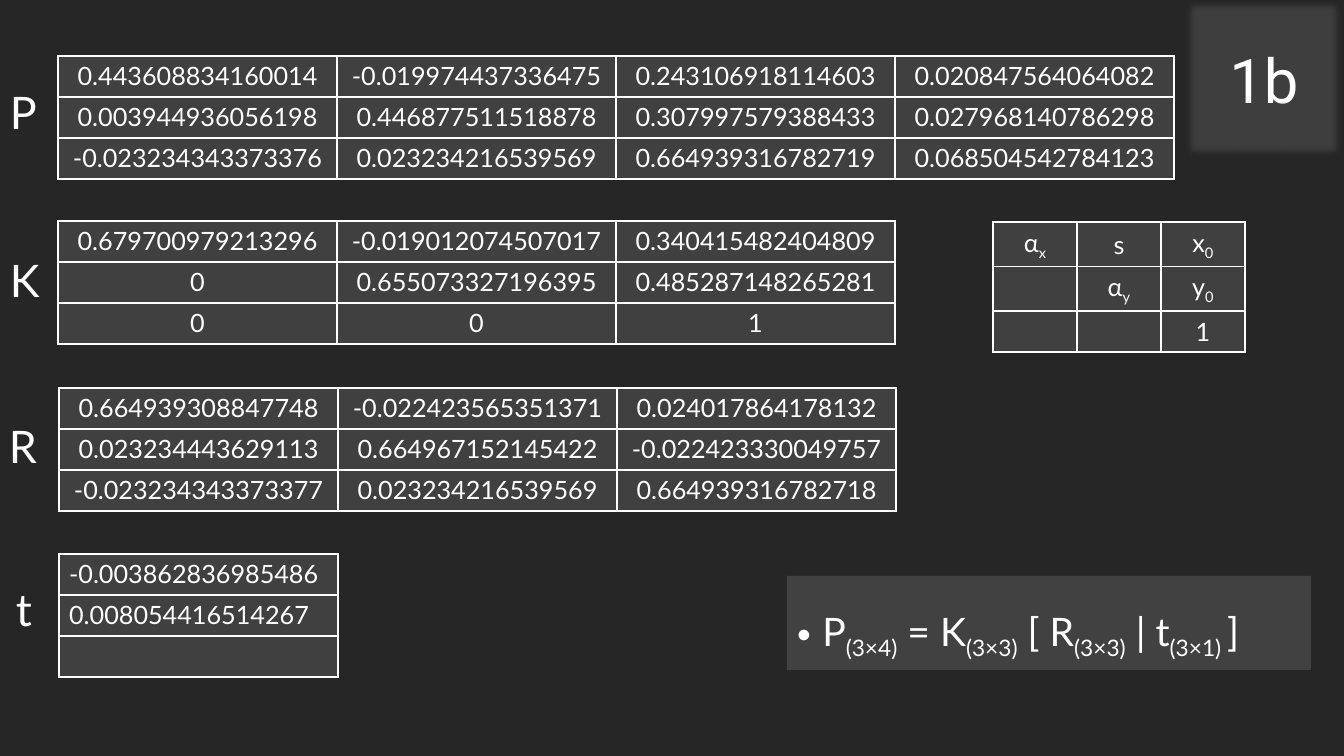
from lxml import etree
from pptx import Presentation
from pptx.dml.color import RGBColor
from pptx.enum.text import MSO_ANCHOR as Anchor, MSO_AUTO_SIZE as AutoSize, PP_ALIGN as Align
from pptx.oxml import parse_xml
from pptx.oxml.ns import nsdecls, qn
from pptx.util import Pt

SLIDE_W, SLIDE_H = 1344, 756
COLORS = {"background": "262626", "panel": "404040", "formula": "808080", "text": "FFFFFF"}
COL_W, ROW_H = 279, 41

MATRICES = [
    ("P", (0, 80, 46, 64), (58, 56), Align.CENTER, [
        ["0.443608834160014", "-0.019974437336475", "0.243106918114603", "0.020847564064082"],
        ["0.003944936056198", "0.446877511518878", "0.307997579388433", "0.027968140786298"],
        ["-0.023234343373376", "0.023234216539569", "0.664939316782719", "0.068504542784123"]]),
    ("K", (0, 248, 48, 64), (58, 221), Align.CENTER, [
        ["0.679700979213296", "-0.019012074507017", "0.340415482404809"],
        ["0", "0.655073327196395", "0.485287148265281"],
        ["0", "0", "1"]]),
    ("R", (-1, 414, 48, 64), (59, 388), Align.CENTER, [
        ["0.664939308847748", "-0.022423565351371", "0.024017864178132"],
        ["0.023234443629113", "0.664967152145422", "-0.022423330049757"],
        ["-0.023234343373377", "0.023234216539569", "0.664939316782718"]]),
    ("t", (6, 577, 34, 64), (59, 554), Align.LEFT, [
        ["-0.003862836985486"], ["0.008054416514267"], [""]]),
]
CALIBRATION = [["α_x", "s", "x_0"], ["", "α_y", "y_0"], ["", "", "1"]]
FORMULA = "P_(3×4)_ = K_(3×3)_ [ R_(3×3)_ | t_(3×1) _]"


def px(length):
    """Turn slide pixels into EMU."""
    return round(length * 12192000 / SLIDE_W)


def color(name):
    """Look up a palette colour."""
    return RGBColor.from_string(COLORS[name])


def xml(markup):
    """Parse one DrawingML element."""
    tag, rest = markup.split(" ", 1)
    return parse_xml(f"{tag} {nsdecls('a')} {rest}")


def place(item, box):
    """Move an item to a pixel box."""
    item.left, item.top, item.width, item.height = map(px, box)


def write(paragraph, content, size, font="Lato"):
    """Write text whose parts between underscores are subscripts."""
    for index, part in enumerate(content.split("_")):
        run = paragraph.add_run()
        run.text = part
        run.font.size, run.font.name = Pt(size), font
        run.font.color.rgb = color("text")
        if index % 2:
            run.font._element.set("baseline", "-25000")


def fill_cell(cell, content, align, anchor):
    """Fill, border and letter one matrix cell."""
    cell.fill.solid()
    cell.fill.fore_color.rgb = color("panel")
    cell.vertical_anchor = anchor
    properties = cell._tc.get_or_add_tcPr()
    for index, side in enumerate("LRTB"):
        properties.insert(index, xml(
            f'<a:ln{side} w="12700"><a:solidFill><a:srgbClr val="{COLORS["text"]}"/>'
            f'</a:solidFill></a:ln{side}>'))
    paragraph = cell.text_frame.paragraphs[0]
    paragraph.alignment = align
    if content:
        write(paragraph, content, 18)


def add_matrix(slide, corner, col_w, rows, align=Align.CENTER, anchor=Anchor.TOP):
    """Draw a matrix from its top left corner."""
    box = (*corner, col_w * len(rows[0]), ROW_H * len(rows))
    matrix = slide.shapes.add_table(len(rows), len(rows[0]), *map(px, box)).table
    for column in matrix.columns:
        column.width = px(col_w)
    for row, contents in zip(matrix.rows, rows):
        row.height = px(ROW_H)
        for cell, content in zip(row.cells, contents):
            fill_cell(cell, content, align, anchor)


def add_label(slide, box, letter):
    """Write the letter that names a matrix."""
    frame = slide.shapes.add_textbox(*map(px, box)).text_frame
    frame.word_wrap = False
    frame.auto_size = AutoSize.SHAPE_TO_FIT_TEXT
    write(frame.paragraphs[0], letter, 32)


def set_badge(title, box):
    """Turn the title into a soft round badge."""
    place(title, box)
    title._element.spPr.append(xml('<a:prstGeom prst="ellipse"><a:avLst/></a:prstGeom>'))
    title.fill.solid()
    title.fill.fore_color.rgb = color("panel")
    title.line.fill.background()
    title._element.spPr.append(xml('<a:effectLst ><a:softEdge rad="63500"/></a:effectLst>'))
    frame = title.text_frame
    frame.auto_size = AutoSize.NONE
    frame.vertical_anchor = Anchor.MIDDLE
    frame.paragraphs[0].alignment = Align.CENTER
    write(frame.paragraphs[0], "1b", 44, "Roboto")


def set_formula(body, box):
    """Put the decomposition formula on a translucent panel."""
    place(body, box)
    body.fill.solid()
    body.fill.fore_color.rgb = color("formula")
    shade = body._element.spPr.find(".//" + qn("a:srgbClr"))
    etree.SubElement(shade, qn("a:alpha")).set("val", "30000")
    frame = body.text_frame
    frame.auto_size = AutoSize.NONE
    frame.vertical_anchor = Anchor.TOP
    paragraph = frame.paragraphs[0]
    paragraph.line_spacing, paragraph.space_before = 1.5, Pt(10)
    properties = paragraph._p.get_or_add_pPr()
    properties.set("marL", "228600")
    properties.set("indent", "-228600")
    properties.append(xml('<a:buFont typeface="Arial"/>'))
    properties.append(xml('<a:buChar char="•"/>'))
    write(paragraph, FORMULA, 28)


def main():
    """Build the slide and save it."""
    deck = Presentation()
    deck.slide_width, deck.slide_height = px(SLIDE_W), px(SLIDE_H)
    slide = deck.slides.add_slide(deck.slide_layouts[1])
    slide.background.fill.solid()
    slide.background.fill.fore_color.rgb = color("background")
    set_badge(slide.shapes.title, (1185, 0, 158, 158))
    set_formula(slide.placeholders[1], (787, 576, 524, 94))
    for letter, label_box, corner, align, rows in MATRICES:
        add_label(slide, label_box, letter)
        add_matrix(slide, corner, COL_W, rows, align)
    add_matrix(slide, (993, 222), 84, CALIBRATION, anchor=Anchor.MIDDLE)
    deck.save("out.pptx")


if __name__ == "__main__":
    main()
